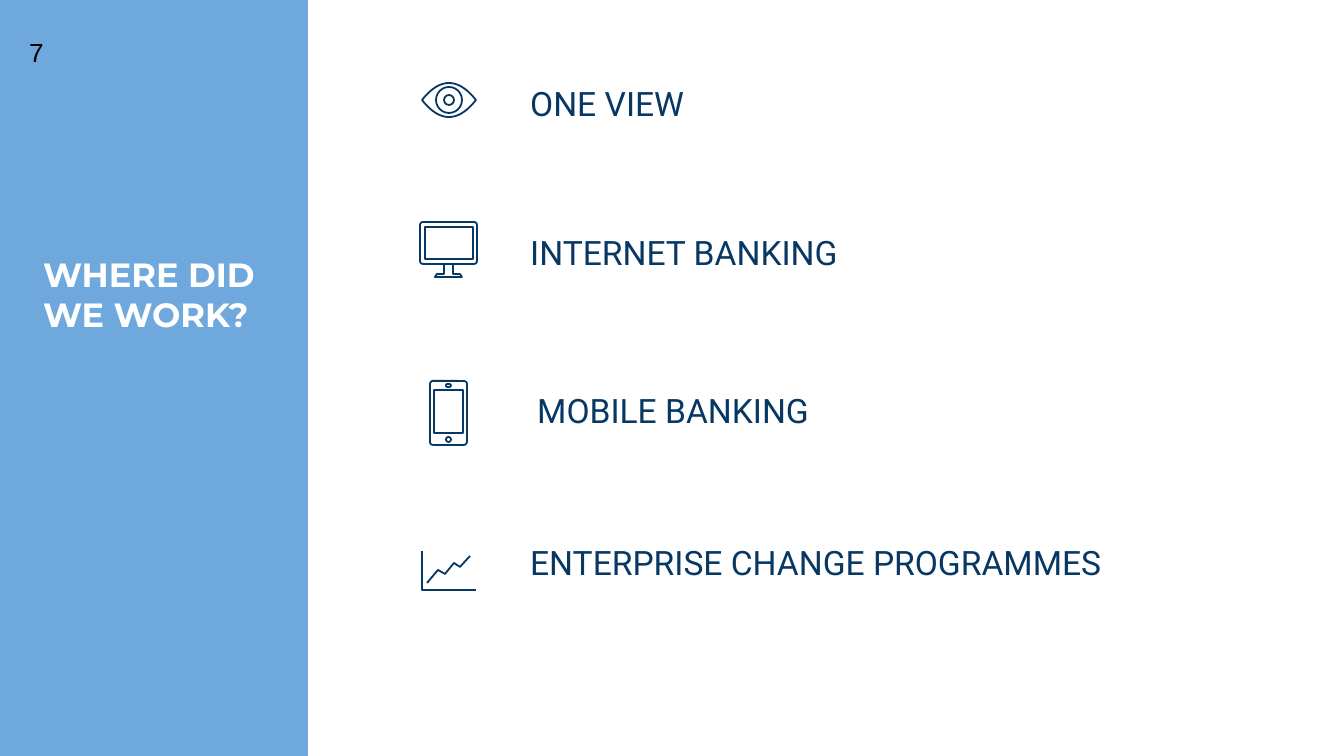
import pptx
import pptx.util
import pptx.dml.color
import pptx.enum.shapes

PX = 914400 / 134.4
KIND = pptx.enum.shapes.MSO_SHAPE
THEME = {
    "blue": "6FA8DC", "navy": "073763", "white": "FFFFFF", "black": "000000",
    "head": 18, "item": 18, "page": 14, "line": 0.96,
}


def write(text, box, font="Roboto", size="item", color="navy", bold=False):
    frame = slide.shapes.add_textbox(*[round(n * PX) for n in box]).text_frame
    frame.word_wrap = True
    frame.margin_left = frame.margin_right = pptx.util.Inches(0.1)
    frame.margin_top = frame.margin_bottom = pptx.util.Inches(0.1)
    run = frame.paragraphs[0].add_run()
    run.text = text
    run.font.name = font
    run.font.size = pptx.util.Pt(THEME[size])
    run.font.bold = bold
    run.font.color.rgb = pptx.dml.color.RGBColor.from_string(THEME[color])


def ink(shape):
    shape.shadow.inherit = False
    shape.fill.background()
    shape.line.width = pptx.util.Pt(THEME["line"])
    shape.line.color.rgb = pptx.dml.color.RGBColor.from_string(THEME["navy"])


deck = pptx.Presentation()
deck.slide_width = round(1344 * PX)
deck.slide_height = round(756 * PX)
slide = deck.slides.add_slide(deck.slide_layouts[6])
back = slide.background.fill
back.solid()
back.fore_color.rgb = pptx.dml.color.RGBColor.from_string(THEME["blue"])

panel = slide.shapes.add_shape(
    KIND.RECTANGLE, round(308 * PX), 0, round(1036 * PX), deck.slide_height)
panel.shadow.inherit = False
panel.fill.solid()
panel.fill.fore_color.rgb = pptx.dml.color.RGBColor.from_string(THEME["white"])
panel.line.fill.background()

write("WHERE DID WE WORK?", (30, 240, 251, 126), font="Montserrat",
      size="head", color="white", bold=True)
write("7", (16, 23, 266, 184), font="Arial", size="page", color="black")

items = [
    ("ONE VIEW", (517, 70, 214, 60)),
    ("INTERNET BANKING", (517, 219, 960, 60)),
    ("MOBILE BANKING", (524, 377, 960, 71)),
    ("ENTERPRISE CHANGE PROGRAMMES", (517, 529, 632, 82)),
]
for text, box in items:
    write(text, box)

parts = [
    (KIND.OVAL, (444, 95, 10, 10)),
    (KIND.OVAL, (436, 87, 26, 26)),
    (KIND.ROUNDED_RECTANGLE, (420, 222, 57, 42)),
    (KIND.RECTANGLE, (425, 227, 48, 32)),
    (KIND.ROUNDED_RECTANGLE, (430, 381, 37, 64)),
    (KIND.RECTANGLE, (434, 390, 29, 43)),
    (KIND.ROUNDED_RECTANGLE, (446, 384, 5, 3)),
    (KIND.OVAL, (446, 437, 5, 5)),
]
for kind, box in parts:
    shape = slide.shapes.add_shape(kind, *[round(n * PX) for n in box])
    if kind == KIND.ROUNDED_RECTANGLE:
        shape.adjustments[0] = min(0.5, 3 / min(box[2:]))
    ink(shape)

steps = [n / 9 for n in range(-9, 10)]
lid = [(449 + 27 * t, 100 - 17 * (1 - t * t)) for t in steps]
lash = [(x, 200 - y) for x, y in lid[-2:0:-1]]
paths = [
    (lid + lash, True),
    ([(444, 265), (444, 274), (437, 274), (435, 277), (462, 277),
      (460, 274), (453, 274), (453, 265)], False),
    ([(422, 551), (422, 590), (476, 590)], False),
    ([(427, 583), (438, 570), (445, 574), (454, 563), (460, 567),
      (470, 556)], False),
]
for points, shut in paths:
    spots = [(round(x * PX), round(y * PX)) for x, y in points]
    form = slide.shapes.build_freeform(*spots[0])
    form.add_line_segments(spots[1:], close=shut)
    ink(form.convert_to_shape())

deck.save("out.pptx")
